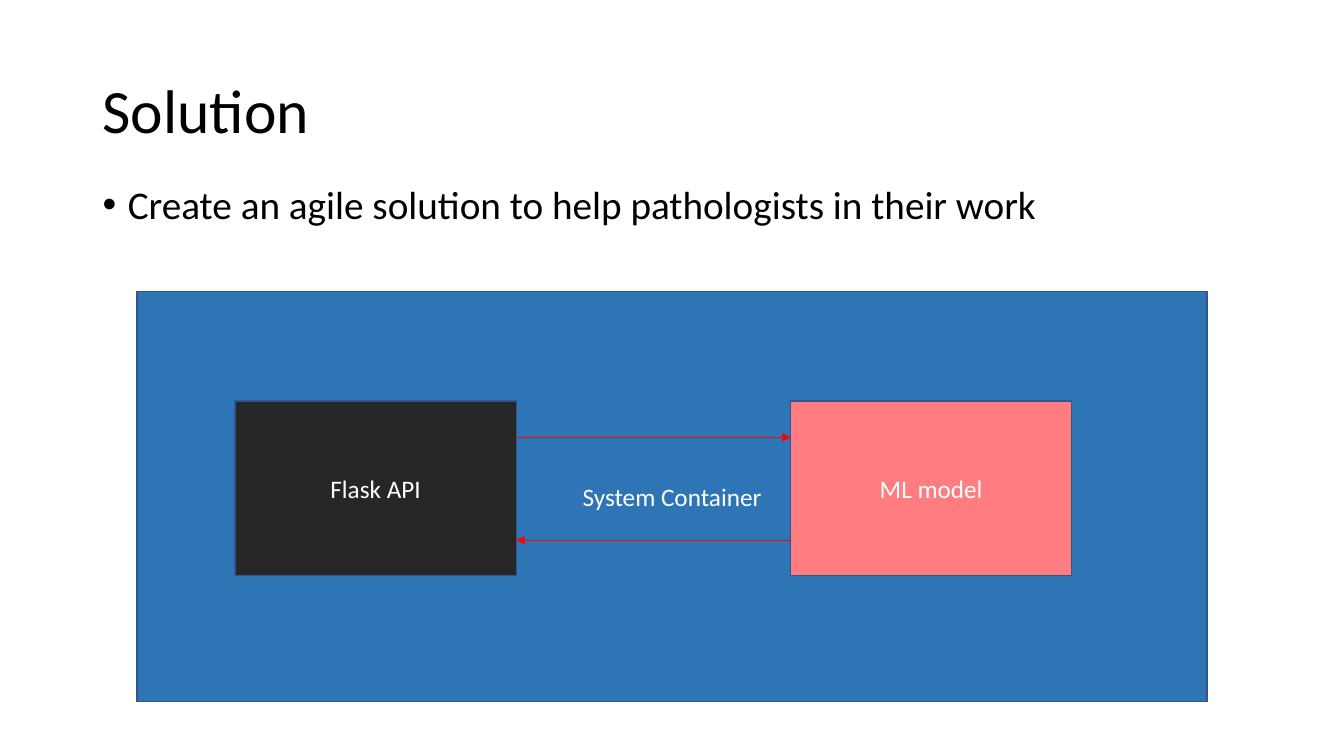
from pptx import Presentation
from pptx import util as u
from pptx.dml import color
from pptx.enum import shapes, text
from pptx.oxml import ns
from lxml import etree

WHITE, BLACK, RED, EDGE = "FFFFFF", "000000", "FF0000", "325491"


def rgb(code):
    """Turn a hex string into a colour."""
    return color.RGBColor.from_string(code)


def sub(node, tag, **attrs):
    """Append a DrawingML element."""
    return etree.SubElement(node, ns.qn(tag), attrs)


def write(shape, words, size, ink, anchor, **form):
    """Fill a shape with one formatted paragraph."""
    frame = shape.text_frame
    frame.word_wrap = True
    frame.vertical_anchor = anchor
    para = frame.paragraphs[0]
    for name, value in form.items():
        setattr(para, name, value)
    run = para.add_run()
    run.text = words
    font = {"name": "Calibri", "size": u.Pt(size)}
    for name, value in font.items():
        setattr(run.font, name, value)
    run.font.color.rgb = rgb(ink)
    return para


def label(slide, box, words, size, anchor, **form):
    """Place a text box."""
    shape = slide.shapes.add_textbox(*map(u.Inches, box))
    return write(shape, words, size, BLACK, anchor, line_spacing=0.9, **form)


def block(slide, box, words, fill):
    """Place a filled rectangle with a centred caption."""
    shape = slide.shapes.add_shape(
        shapes.MSO_SHAPE.RECTANGLE, *map(u.Inches, box))
    shape.shadow.inherit = False
    shape.fill.solid()
    shape.fill.fore_color.rgb = rgb(fill)
    shape.line.color.rgb = rgb(EDGE)
    shape.line.width = u.Pt(1)
    write(shape, words, 18, WHITE, text.MSO_ANCHOR.MIDDLE,
          alignment=text.PP_ALIGN.CENTER)


def arrow(slide, start, end, y):
    """Draw a level red arrow."""
    link = slide.shapes.add_connector(
        shapes.MSO_CONNECTOR.STRAIGHT, *map(u.Inches, (start, y, end, y)))
    link.line.color.rgb = rgb(RED)
    link.line.width = u.Pt(0.5)
    sub(link.line._get_or_add_ln(), "a:tailEnd", type="triangle")
    sub(link._element.spPr, "a:effectLst")


def heading(slide, box):
    """Place the title and the bullet below it."""
    left, top, width, height = box
    label(slide, box, "Solution", 44, text.MSO_ANCHOR.MIDDLE)
    para = label(slide, (left, top + 1.39, width, 0.7),
                 "Create an agile solution to help pathologists in their work",
                 28, text.MSO_ANCHOR.TOP, space_before=u.Pt(10))
    props = para._p.get_or_add_pPr()
    props.set("marL", str(u.Inches(0.25)))
    props.set("indent", str(u.Inches(-0.25)))
    sub(props, "a:buFont", typeface="Arial")
    sub(props, "a:buChar", char="•")


def diagram(slide, box):
    """Place the container, its two parts and the arrows between them."""
    left, top, width, height = box
    block(slide, box, "System Container", "2E75B6")
    wide, tall, step = 2.79, 1.73, 5.51
    x, y = left + 0.97, top + 1.09
    parts = [("Flask API", "262626"), ("ML model", "FF7C80")]
    for i, (words, fill) in enumerate(parts):
        block(slide, (x + i * step, y, wide, tall), words, fill)
    near, far = x + wide, x + step
    arrow(slide, near, far, y + 0.36)
    arrow(slide, far, near, y + 1.38)


def main():
    """Build and save the slide."""
    deck = Presentation()
    deck.slide_width, deck.slide_height = u.Inches(13.33), u.Inches(7.5)
    slide = deck.slides.add_slide(deck.slide_layouts[6])
    heading(slide, (0.92, 0.4, 11.5, 1.45))
    diagram(slide, (1.36, 2.89, 10.61, 4.07))
    deck.save("out.pptx")


if __name__ == "__main__":
    main()
